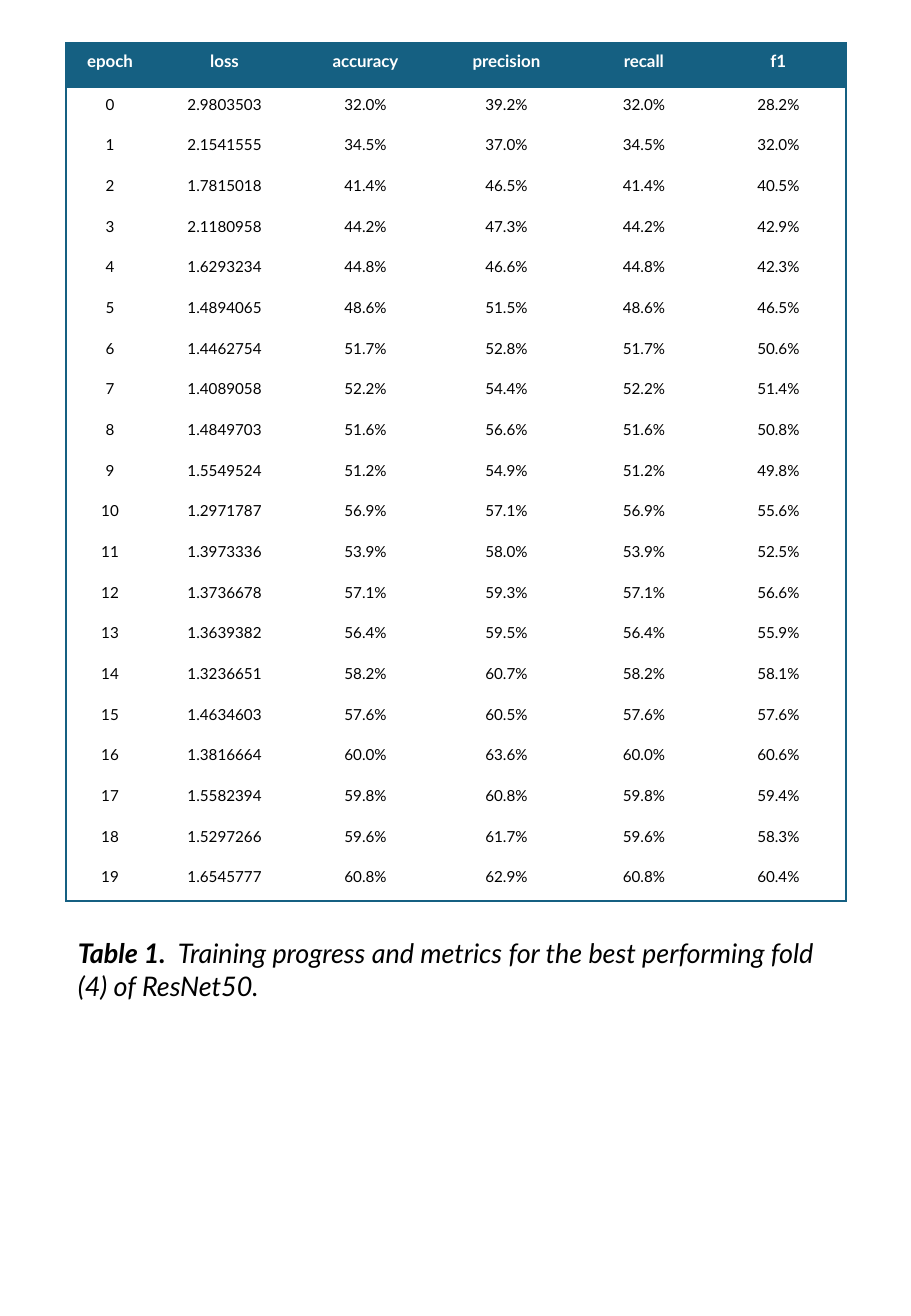
from lxml import etree
from pptx import Presentation
from pptx.dml.color import RGBColor
from pptx.enum.text import MSO_ANCHOR as ANCHOR, MSO_AUTO_SIZE as AUTO, PP_ALIGN as ALIGN
from pptx.oxml.ns import qn
from pptx.util import Pt

PX = 914400 / 121.5
BLUE = RGBColor(0x15, 0x60, 0x82)
WHITE = RGBColor(0xFF, 0xFF, 0xFF)
BLACK = RGBColor(0x00, 0x00, 0x00)
NO_GRID_STYLE = "{2D5ABB26-0587-4C30-8999-92F81FD0307C}"

COLUMNS = {"epoch": 88, "loss": 141, "accuracy": 141, "precision": 141, "recall": 134, "f1": 135}
METRICS = [
    ("2.9803503", "32.0%", "39.2%", "32.0%", "28.2%"),
    ("2.1541555", "34.5%", "37.0%", "34.5%", "32.0%"),
    ("1.7815018", "41.4%", "46.5%", "41.4%", "40.5%"),
    ("2.1180958", "44.2%", "47.3%", "44.2%", "42.9%"),
    ("1.6293234", "44.8%", "46.6%", "44.8%", "42.3%"),
    ("1.4894065", "48.6%", "51.5%", "48.6%", "46.5%"),
    ("1.4462754", "51.7%", "52.8%", "51.7%", "50.6%"),
    ("1.4089058", "52.2%", "54.4%", "52.2%", "51.4%"),
    ("1.4849703", "51.6%", "56.6%", "51.6%", "50.8%"),
    ("1.5549524", "51.2%", "54.9%", "51.2%", "49.8%"),
    ("1.2971787", "56.9%", "57.1%", "56.9%", "55.6%"),
    ("1.3973336", "53.9%", "58.0%", "53.9%", "52.5%"),
    ("1.3736678", "57.1%", "59.3%", "57.1%", "56.6%"),
    ("1.3639382", "56.4%", "59.5%", "56.4%", "55.9%"),
    ("1.3236651", "58.2%", "60.7%", "58.2%", "58.1%"),
    ("1.4634603", "57.6%", "60.5%", "57.6%", "57.6%"),
    ("1.3816664", "60.0%", "63.6%", "60.0%", "60.6%"),
    ("1.5582394", "59.8%", "60.8%", "59.8%", "59.4%"),
    ("1.5297266", "59.6%", "61.7%", "59.6%", "58.3%"),
    ("1.6545777", "60.8%", "62.9%", "60.8%", "60.4%"),
]
LEFT, TOP, WIDTH = 66, 43, sum(COLUMNS.values())
HEADER_H, BODY_H = 45, 814
HEADER_FONT = {"name": "Lato", "size": Pt(10), "bold": True}
BODY_FONT = {"name": "Lato", "size": Pt(9), "bold": False}
CELL_FORMAT = {
    "margin_left": round(PX), "margin_right": round(PX), "margin_top": round(PX),
    "margin_bottom": round(9 * PX), "vertical_anchor": ANCHOR.MIDDLE,
}


def px(n):
    return round(n * PX)


def add_run(p, text, color, font):
    r = p.add_run()
    r.text = text
    r.font.color.rgb = color
    for name, value in font.items():
        setattr(r.font, name, value)


prs = Presentation()
prs.slide_width, prs.slide_height = px(911), px(1316)
slide = prs.slides.add_slide(prs.slide_layouts[6])

rows = [tuple(COLUMNS)] + [(str(epoch), *values) for epoch, values in enumerate(METRICS)]
last_row, last_col = len(rows) - 1, len(COLUMNS) - 1
table = slide.shapes.add_table(
    len(rows), len(COLUMNS), px(LEFT), px(TOP), px(WIDTH), px(HEADER_H + BODY_H)
).table
table.horz_banding = False
table._tbl.tblPr.find(qn("a:tableStyleId")).text = NO_GRID_STYLE
for column, width in zip(table.columns, COLUMNS.values()):
    column.width = px(width)

for i, values in enumerate(rows):
    header = i == 0
    table.rows[i].height = px(HEADER_H) if header else px(BODY_H) // len(METRICS)
    for j, text in enumerate(values):
        cell = table.cell(i, j)
        for name, value in CELL_FORMAT.items():
            setattr(cell, name, value)
        p = cell.text_frame.paragraphs[0]
        p.alignment = ALIGN.CENTER
        add_run(p, text, WHITE if header else BLACK, HEADER_FONT if header else BODY_FONT)

        outer_edges = {"lnL": j == 0, "lnR": j == last_col, "lnT": header, "lnB": i == last_row}
        tc_pr = cell._tc.get_or_add_tcPr()
        for edge, outer in outer_edges.items():
            if outer:
                ln = etree.SubElement(tc_pr, qn(f"a:{edge}"), w=str(Pt(1)))
                fill = etree.SubElement(ln, qn("a:solidFill"))
                etree.SubElement(fill, qn("a:srgbClr"), val=str(BLUE))
        if header:
            cell.fill.solid()
            cell.fill.fore_color.rgb = BLUE
        else:
            cell.fill.background()

caption = slide.shapes.add_textbox(px(LEFT), px(931), px(WIDTH), px(78))
tf = caption.text_frame
tf.word_wrap = True
tf.auto_size = AUTO.SHAPE_TO_FIT_TEXT
p = tf.paragraphs[0]
for text, bold in [
    ("Table 1.  ", True),
    ("Training progress and metrics for the best performing fold (4) of ResNet50.", False),
]:
    add_run(p, text, BLACK, {"name": "Lato", "size": Pt(16), "bold": bold, "italic": True})

prs.save("out.pptx")
